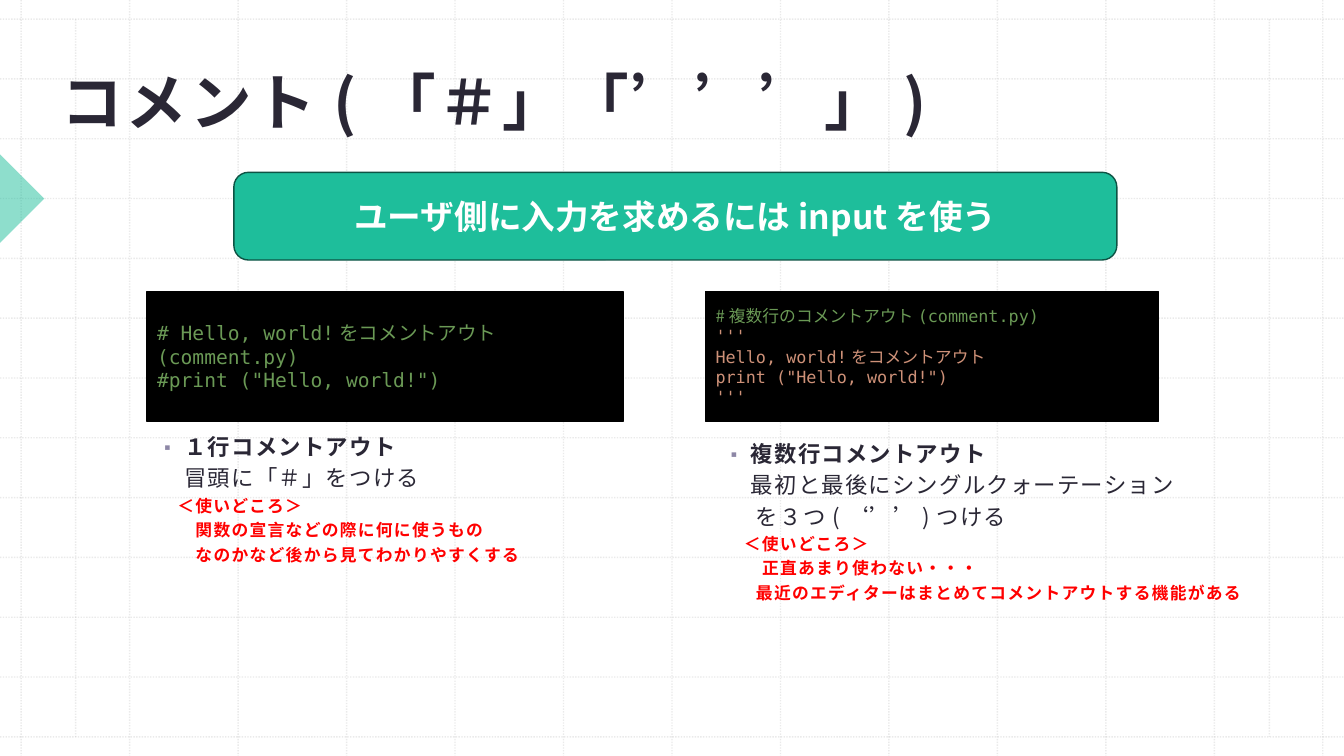
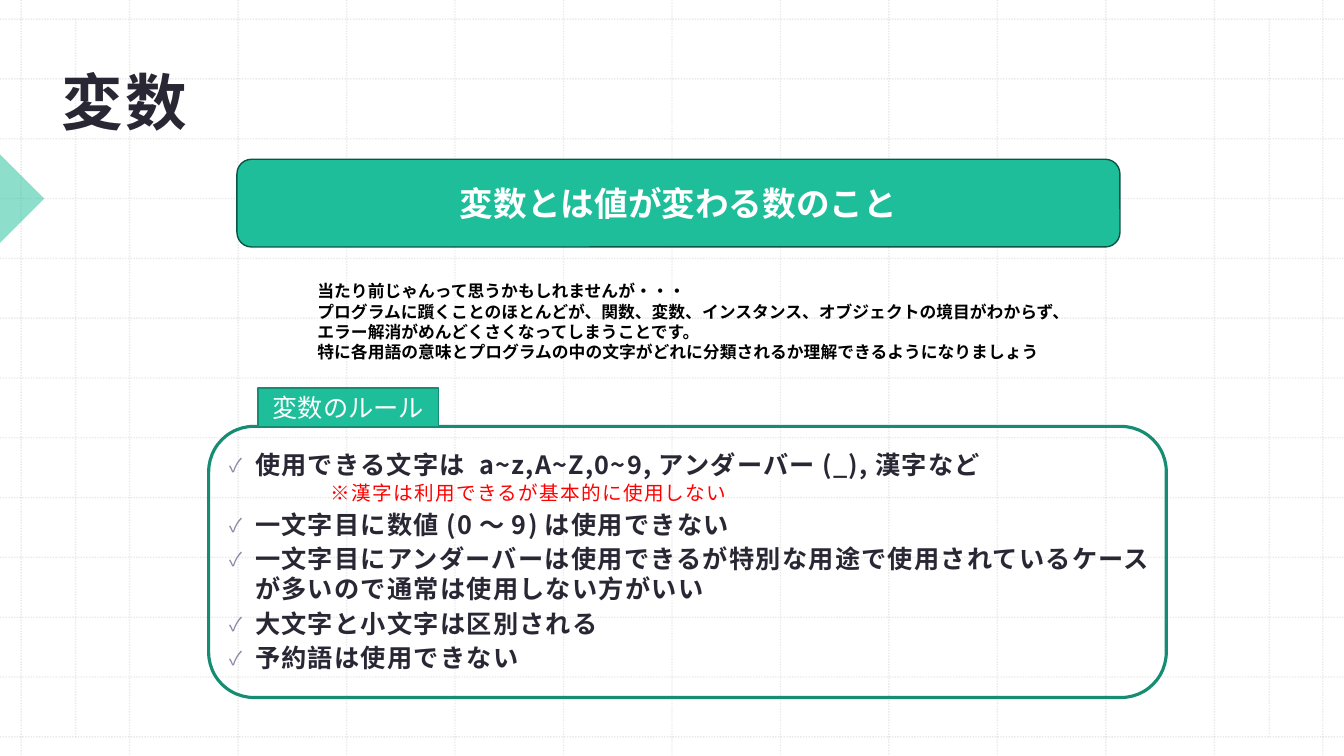
from dataclasses import dataclass, replace

from lxml.etree import SubElement
from pptx import Presentation
from pptx.dml.color import RGBColor
from pptx.enum.dml import MSO_LINE
from pptx.enum.shapes import MSO_CONNECTOR, MSO_SHAPE
from pptx.enum.text import MSO_ANCHOR, PP_ALIGN
from pptx.oxml.ns import qn
from pptx.util import Inches, Pt

WIDTH, HEIGHT = 13.33, 7.5
SANS, MONO = "Noto Sans CJK JP", "DejaVu Sans Mono"
GREEN, DARK_GREEN, EDGE = "1EBE9B", "168D73", "0D5344"
INK, BULLET, RED, GRID = "2A2735", "8D87A6", "FF0000", "BCBCBC"
WHITE, BLACK = "FFFFFF", "000000"
COMMENT, STRING = "6A9955", "CE9178"
COLUMNS = ROWS = 12
INSETS = (0.12, 0.12, 0.12, 0.1)
LEADING = 1.2


@dataclass(frozen=True)
class Line:
    """One paragraph; text is a string or a tuple of (text, font) runs."""
    text: str | tuple
    size: float = 16
    color: str = INK
    bold: bool = False
    font: str = SANS
    spacing: float = 0
    before: float = 0
    indent: float = 0
    bullet: str = ""
    align: PP_ALIGN = PP_ALIGN.LEFT
    leading: float = LEADING


BODY = Line("", spacing=0.9, before=3)
HEAD = replace(BODY, bold=True, indent=0.25, bullet="▪")
HINT = replace(BODY, size=12, color=RED, bold=True)
RULE = replace(HEAD, size=18, bullet="✓")
TITLE = Line("", 44, bold=True, spacing=1.9, leading=1)
BANNER = Line("", 24, WHITE, True, align=PP_ALIGN.CENTER)
NOTE = Line("", 12, BLACK, True)


def rgb(color):
    """Turn a hex string into a colour."""
    return RGBColor.from_string(color)


def part(box, shares):
    """Return the box that covers the given percentages of another box."""
    left, top, width, height = box
    x, y, w, h = (share / 100 for share in shares)
    return left + x * width, top + y * height, w * width, h * height


def on_slide(*shares):
    """Return a box from percentages of the slide."""
    return part((0, 0, WIDTH, HEIGHT), shares)


def set_alpha(parent, percent):
    """Make the solid colour below an element translucent."""
    color = next(parent.iter(qn("a:srgbClr")))
    SubElement(color, qn("a:alpha")).set("val", str(percent * 1000))


def add_bullet(p, char):
    """Give a paragraph a coloured bullet."""
    pPr = p._p.get_or_add_pPr()
    color = SubElement(SubElement(pPr, qn("a:buClr")), qn("a:srgbClr"))
    color.set("val", BULLET)
    SubElement(pPr, qn("a:buSzPct")).set("val", "75000")
    SubElement(pPr, qn("a:buFont")).set("typeface", SANS)
    SubElement(pPr, qn("a:buChar")).set("char", char)


def format_run(r, line, font):
    """Set font, size, colour and letter spacing of a run."""
    r.font.size, r.font.bold = Pt(line.size), line.bold
    r.font.color.rgb = rgb(line.color)
    r.font.name = font
    rPr = r.font._element
    SubElement(rPr, qn("a:ea")).set("typeface", SANS)
    if line.spacing:
        rPr.set("spc", str(round(line.spacing * 100)))


def write(sp, lines, anchor=MSO_ANCHOR.TOP, insets=(0.1, 0.05, 0.1, 0.05)):
    """Fill a shape with formatted paragraphs."""
    tf = sp.text_frame
    tf.word_wrap, tf.vertical_anchor = True, anchor
    tf.margin_left, tf.margin_top, tf.margin_right, tf.margin_bottom = map(Inches, insets)
    for i, line in enumerate(lines):
        p = tf.add_paragraph() if i else tf.paragraphs[0]
        if line.indent:
            pPr = p._p.get_or_add_pPr()
            pPr.set("marL", str(Inches(line.indent)))
            pPr.set("indent", str(Inches(-line.indent if line.bullet else 0)))
        if line.bullet:
            add_bullet(p, line.bullet)
        p.alignment = line.align
        p.line_spacing = Pt(line.size * line.leading)
        p.space_before = Pt(line.before if i else 0)
        runs = ((line.text, line.font),) if isinstance(line.text, str) else line.text
        for text, font in runs:
            r = p.add_run()
            r.text = text
            format_run(r, line, font)


def add_text(s, box, lines, **options):
    """Add a text box."""
    write(s.shapes.add_textbox(*map(Inches, box)), lines, **options)


def add_block(s, kind, box, fill=None, line=None, weight=1):
    """Add a preset shape with its fill and outline."""
    sp = s.shapes.add_shape(kind, *map(Inches, box))
    sp.shadow.inherit = False
    if fill:
        sp.fill.solid()
        sp.fill.fore_color.rgb = rgb(fill)
    else:
        sp.fill.background()
    if line:
        sp.line.color.rgb, sp.line.width = rgb(line), Pt(weight)
    else:
        sp.line.fill.background()
    return sp


def add_grid_line(s, *ends):
    """Add one faint dotted line."""
    cn = s.shapes.add_connector(MSO_CONNECTOR.STRAIGHT, *map(Inches, ends))
    cn.line.color.rgb, cn.line.width = rgb(GRID), Pt(1)
    cn.line.dash_style = MSO_LINE.ROUND_DOT
    spPr = cn._element.spPr
    set_alpha(spPr, 30)
    SubElement(spPr, qn("a:effectLst"))


def add_backdrop(s):
    """Draw the dotted grid and the side marker."""
    side, top = 0.21, 0.19
    for i in range(COLUMNS + 1):
        x = side + i * (WIDTH - 2 * side) / COLUMNS
        add_grid_line(s, x, 0, x, HEIGHT)
    for i in range(ROWS + 1):
        y = top + i * (HEIGHT - 2 * top) / ROWS
        add_grid_line(s, 0, y, WIDTH, y)
    for x in (0.75, 12.59):
        add_grid_line(s, x, top, x, HEIGHT - top)
    marker = add_block(s, MSO_SHAPE.RIGHT_TRIANGLE, (-0.31, 1.66, 0.62, 0.62), GREEN)
    marker.rotation = 225
    set_alpha(marker._element.spPr, 50)


def add_page(prs, title, banner, banner_box):
    """Start a slide with backdrop, title and banner."""
    s = prs.slides.add_slide(prs.slide_layouts[6])
    add_backdrop(s)
    add_text(s, on_slide(3.68, 6.27, 84.7, 12.4), [replace(TITLE, text=title)],
             anchor=MSO_ANCHOR.BOTTOM, insets=(0.12, 0.12, 0.12, 0.03))
    sp = add_block(s, MSO_SHAPE.ROUNDED_RECTANGLE, banner_box, GREEN, EDGE)
    write(sp, [replace(BANNER, text=banner)], MSO_ANCHOR.MIDDLE)
    return s


def add_example(s, box, code, notes, notes_shares):
    """Place a code panel in the upper half of a box and notes below."""
    panel = add_block(s, MSO_SHAPE.RECTANGLE, part(box, (0, 0, 100, 50)), BLACK, BLACK)
    write(panel, code, MSO_ANCHOR.MIDDLE)
    add_text(s, part(box, notes_shares), notes, insets=INSETS)


def add_rules(s, box, label, rules):
    """Place a labelled, outlined list in a box."""
    add_text(s, part(box, (0.95, 15.97, 100.53, 74.26)), rules, insets=INSETS)
    add_block(s, MSO_SHAPE.ROUNDED_RECTANGLE, part(box, (0, 12.4, 100, 87.6)),
              line=DARK_GREEN, weight=2.25)
    tab = add_block(s, MSO_SHAPE.RECTANGLE, part(box, (5.15, 0, 18.85, 12.4)),
                    GREEN, DARK_GREEN)
    write(tab, [replace(BANNER, text=label, size=18, bold=False)], MSO_ANCHOR.MIDDLE)


def comment_slide(prs):
    """Build the slide on comments."""
    s = add_page(prs, "コメント(「＃」「’’’」)", "ユーザ側に入力を求めるにはinputを使う",
                 on_slide(17.4, 22.8, 65.7, 11.6))
    code = Line("", 14, COMMENT, font=MONO)
    add_example(s, on_slide(10.95, 38.53, 35.4, 34.4), [
        replace(code, text="# Hello, world!をコメントアウト(comment.py)"),
        replace(code, text='#print ("Hello, world!")'),
    ], [
        replace(HEAD, text="１行コメントアウト"),
        replace(BODY, text="冒頭に「＃」をつける", indent=0.25),
        replace(HINT, text="＜使いどころ＞", indent=0.18),
        replace(HINT, text="関数の宣言などの際に何に使うもの", indent=0.36),
        replace(HINT, text="なのかなど後から見てわかりやすくする", indent=0.36),
    ], (0, 50, 98, 50))
    code = replace(code, size=12)
    quoted = ("'''", "Hello, world!をコメントアウト", 'print ("Hello, world!")', "'''")
    add_example(s, on_slide(52.5, 38.53, 33.68, 34.4), [
        replace(code, text=(("#複数行のコメントアウト", SANS), ("(comment.py)", MONO))),
        *(replace(code, text=text, color=STRING) for text in quoted),
    ], [
        replace(HEAD, text="複数行コメントアウト"),
        replace(BODY, text="最初と最後にシングルクォーテーション", indent=0.25),
        replace(BODY, text="を３つ(‘’’)つける", indent=0.3),
        replace(HINT, text="＜使いどころ＞", indent=0.18),
        replace(HINT, text="正直あまり使わない・・・", indent=0.36),
        replace(HINT, text="最近のエディターはまとめてコメントアウトする機能がある", indent=0.3),
    ], (1.78, 52.73, 127.4, 50))


def variable_slide(prs):
    """Build the slide on variables."""
    s = add_page(prs, "変数", "変数とは値が変わる数のこと", on_slide(17.63, 21.07, 65.7, 11.6))
    notes = (
        "当たり前じゃんって思うかもしれませんが・・・",
        "プログラムに躓くことのほとんどが、関数、変数、インスタンス、オブジェクトの境目がわからず、"
        "エラー解消がめんどくさくなってしまうことです。",
        "特に各用語の意味とプログラムの中の文字がどれに分類されるか理解できるようになりましょう",
    )
    add_text(s, on_slide(22.88, 36.53, 58.43, 12.13),
             [replace(NOTE, text=text) for text in notes])
    rules = (
        "一文字目に数値(0～9)は使用できない",
        "一文字目にアンダーバーは使用できるが特別な用途で使用されているケースが多いので通常は使用しない方がいい",
        "大文字と小文字は区別される",
        "予約語は使用できない",
    )
    add_rules(s, on_slide(15.53, 51.33, 71.25, 40.94), "変数のルール", [
        replace(RULE, text="使用できる文字は a~z,A~Z,0~9,アンダーバー(_),漢字など"),
        replace(BODY, text="※漢字は利用できるが基本的に使用しない", size=14, color=RED,
                indent=1, before=1),
        *(replace(RULE, text=text) for text in rules),
    ])


def main():
    """Build and save the presentation."""
    prs = Presentation()
    prs.slide_width, prs.slide_height = Inches(WIDTH), Inches(HEIGHT)
    comment_slide(prs)
    variable_slide(prs)
    prs.save("out.pptx")


if __name__ == "__main__":
    main()
